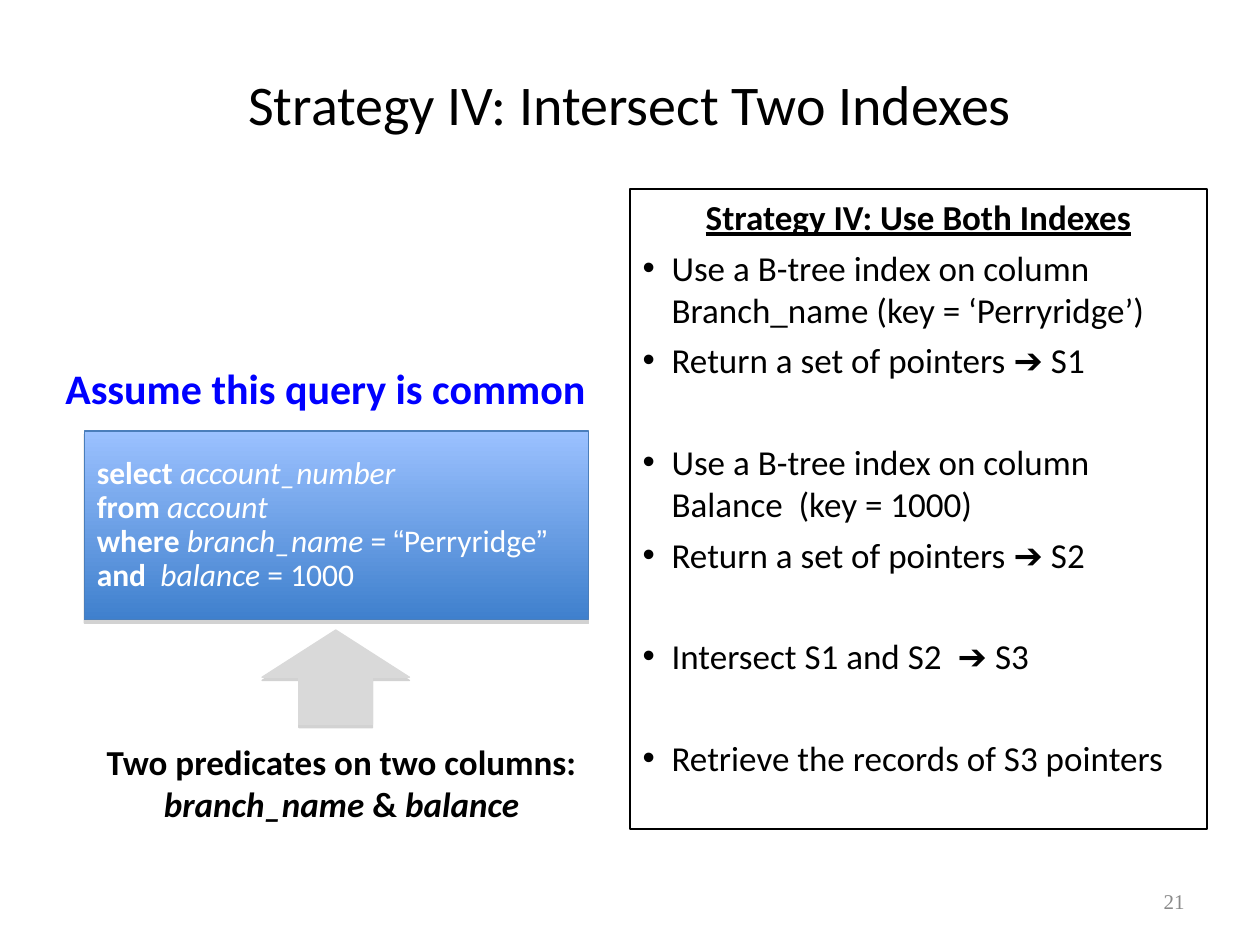
"""Build the slide on intersecting two indexes."""
from dataclasses import dataclass

from lxml.etree import SubElement
from pptx import Presentation
from pptx.dml.color import RGBColor
from pptx.enum.shapes import MSO_SHAPE as Preset
from pptx.enum.text import MSO_ANCHOR as Anchor, MSO_AUTO_SIZE as AutoSize, PP_ALIGN as Align
from pptx.oxml.ns import qn
from pptx.util import Inches, Pt

BLACK, WHITE, BLUE, GREY = "000000", "FFFFFF", "0000FF", "D9D9D9"
NORMAL_GAP, STEP_GAP = 5, 34


@dataclass(frozen=True)
class Span:
    text: str
    bold: bool = False
    italic: bool = False
    underline: bool = False
    font: str = "Calibri"


@dataclass(frozen=True)
class Line:
    spans: tuple[Span, ...]
    before: float = 0
    bullet: bool = False
    align: Align = Align.LEFT
    spacing: float = 1.0


def rgb(value: str) -> RGBColor:
    return RGBColor.from_string(value)


def place(shape, left: float, top: float, width: float, height: float) -> None:
    shape.left, shape.top = Inches(left), Inches(top)
    shape.width, shape.height = Inches(width), Inches(height)


def set_bullet(para, bullet: bool) -> None:
    properties = para._p.get_or_add_pPr()
    indent = Inches(0.23) if bullet else 0
    properties.set("marL", str(indent))
    properties.set("indent", str(-indent))
    if bullet:
        SubElement(properties, qn("a:buFont"), typeface="Arial")
        SubElement(properties, qn("a:buChar"), char="•")
    else:
        SubElement(properties, qn("a:buNone"))


def write(shape, lines: list[Line], size: float, color: str, anchor: Anchor = Anchor.TOP) -> None:
    frame = shape.text_frame
    frame.word_wrap = True
    frame.auto_size = AutoSize.NONE
    frame.vertical_anchor = anchor
    for index, line in enumerate(lines):
        para = frame.add_paragraph() if index else frame.paragraphs[0]
        set_bullet(para, line.bullet)
        para.alignment = line.align
        para.line_spacing = line.spacing
        para.space_before = Pt(line.before)
        for span in line.spans:
            run = para.add_run()
            run.text = span.text
            font = run.font
            font.name, font.size = span.font, Pt(size)
            font.bold, font.italic, font.underline = span.bold, span.italic, span.underline
            font.color.rgb = rgb(color)


def add_text(page, area: tuple[float, ...], line: Line, size: float, color: str,
             anchor: Anchor = Anchor.TOP) -> None:
    box = page.shapes.add_textbox(*map(Inches, area))
    write(box, [line], size, color, anchor)


def add_raised(page, preset: Preset, area: tuple[float, ...], line_color: str):
    """Add an outlined shape with a thin shadow beneath it."""
    shape = page.shapes.add_shape(preset, *map(Inches, area))
    shape.line.color.rgb = rgb(line_color)
    shape.line.width = Pt(0.75)
    shape.shadow.inherit = False
    effects = shape._element.spPr.find(qn("a:effectLst"))
    shadow = SubElement(effects, qn("a:outerShdw"), blurRad="0", dist=str(Pt(1.8)),
                        dir="5400000", algn="ctr", rotWithShape="0")
    shade = SubElement(shadow, qn("a:srgbClr"), val="808080")
    SubElement(shade, qn("a:alpha"), val="35000")
    return shape


def step(text: str, result: str = "", before: float = NORMAL_GAP) -> Line:
    spans = (Span(text),)
    if result:
        spans += (Span("➔", font="Arial"), Span(f" {result}"))
    return Line(spans, before, bullet=True)


def code(keyword: str, *rest: Span) -> Line:
    return Line((Span(keyword, bold=True), *rest), spacing=0.9)


def add_query(page) -> None:
    query = add_raised(page, Preset.RECTANGLE, (0.67, 3.42, 4, 1.5), "4A7EBB")
    query.fill.gradient()
    query.fill.gradient_angle = 270
    for stop, color in zip(query.fill.gradient_stops, ("9BC1FF", "3F80CD")):
        stop.color.rgb = rgb(color)
    lines = [
        code("select ", Span("account_number", italic=True)),
        code("from", Span(" account", italic=True)),
        code("where", Span(" branch_name ", italic=True), Span("= "), Span("“", font="Arial"),
             Span("Perryridge"), Span("”", font="Arial")),
        code("and ", Span(" balance", italic=True), Span(" = 1000")),
    ]
    write(query, lines, 18, WHITE, Anchor.MIDDLE)


def add_strategy(body) -> None:
    place(body, 5, 1.5, 4.58, 5.08)
    body.line.color.rgb = rgb(BLACK)
    body.line.width = Pt(0.75)
    heading = Span("Strategy IV: Use Both Indexes", bold=True, underline=True)
    lines = [
        Line((heading,), align=Align.CENTER),
        step("Use a B-tree index on column Branch_name (key = ‘Perryridge’)"),
        step("Return a set of pointers ", "S1"),
        step("Use a B-tree index on column Balance  (key = 1000)", before=STEP_GAP),
        step("Return a set of pointers ", "S2"),
        step("Intersect S1 and S2  ", "S3", STEP_GAP),
        step("Retrieve the records of S3 pointers", before=STEP_GAP),
    ]
    write(body, lines, 20, BLACK)


def main() -> None:
    deck = Presentation()
    deck.slide_width, deck.slide_height = Inches(10), Inches(7.5)
    page = deck.slides.add_slide(deck.slide_layouts[1])
    title, body = page.placeholders
    place(title, 0.5, 0.3, 9, 1.03)
    heading = Line((Span("Strategy IV: Intersect Two Indexes"),), align=Align.CENTER)
    write(title, [heading], 32, BLACK, Anchor.MIDDLE)
    add_strategy(body)

    add_query(page)
    assumption = Line((Span("Assume this query is common", bold=True),))
    add_text(page, (0.42, 2.83, 4.42, 0.67), assumption, 24, BLUE)
    arrow = add_raised(page, Preset.UP_ARROW, (2.08, 5, 1.17, 0.75), GREY)
    arrow.fill.solid()
    arrow.fill.fore_color.rgb = rgb(GREY)
    predicates = Line((
        Span("Two predicates on two columns: ", bold=True),
        Span("branch_name", bold=True, italic=True),
        Span(" & ", bold=True),
        Span("balance", bold=True, italic=True),
    ), align=Align.CENTER)
    add_text(page, (0.42, 5.83, 4.58, 1), predicates, 20, BLACK)
    number = Line((Span("21", font="Times New Roman"),), align=Align.RIGHT)
    add_text(page, (7.17, 6.95, 2.33, 0.4), number, 12, "898989", Anchor.MIDDLE)
    deck.save("out.pptx")


if __name__ == "__main__":
    main()
